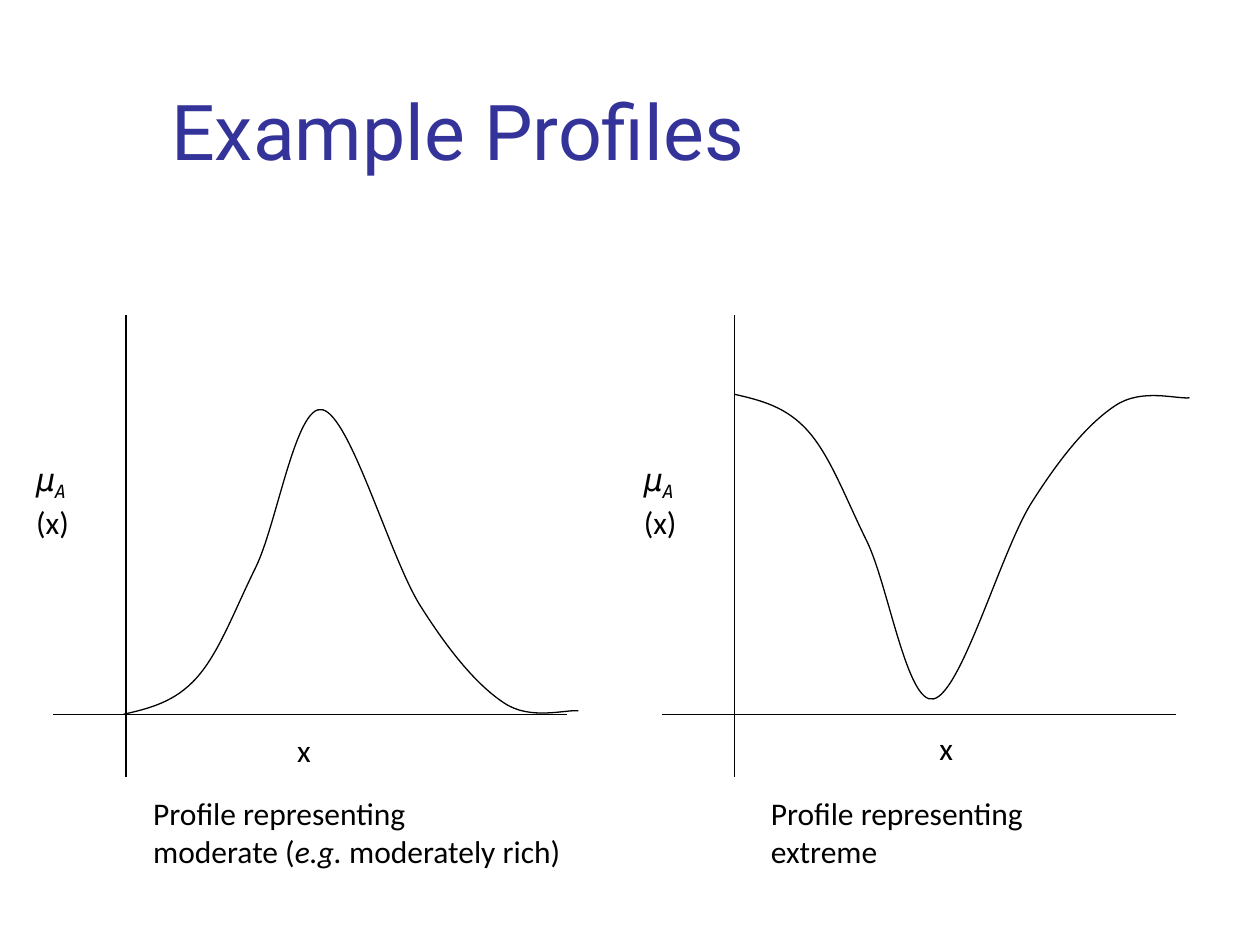
from lxml import etree
from pptx import Presentation
from pptx.dml.color import RGBColor
from pptx.enum.shapes import MSO_CONNECTOR
from pptx.enum.text import MSO_ANCHOR
from pptx.oxml.ns import qn
from pptx.util import Cm, Pt

COLORS = {"title": "333399", "ink": "000000"}
BODY_FONT, SYMBOL_FONT, TITLE_FONT = "Calibri", "DejaVu Sans Mono", "Roboto"
LINE_WIDTH = Pt(0.75)

TITLE = [[("Example Profiles", {"size": 44, "font": TITLE_FONT, "color": "title"})]]
MEMBERSHIP = [[
    ("μ", {"font": SYMBOL_FONT, "italic": True}),
    ("A ", {"font": SYMBOL_FONT, "italic": True, "baseline": -25000}),
    ("(x)", {}),
]]
VARIABLE = [[("x", {})]]

BELL = [
    (2.49, 14.4),
    (3.02, 14.28), (3.53, 14.15), (3.96, 13.67),
    (4.42, 13.16), (4.72, 12.32), (5.16, 11.43),
    (5.59, 10.54), (5.97, 8.13), (6.5, 8.26),
    (7.06, 8.38), (7.85, 11.2), (8.46, 12.19),
    (9.07, 13.16), (9.63, 13.82), (10.16, 14.17),
    (10.69, 14.53), (11.4, 14.3), (11.66, 14.33),
]
VALLEY = [(x + 12.32, 22.35 - y) for x, y in BELL]

PROFILES = [
    {
        "axis_x": 2.54, "curve": BELL,
        "membership": (0.48, 9.14), "variable": (5.74, 14.61), "caption_at": (2.84, 15.88),
        "caption": [
            [("Profile representing", {})],
            [("moderate (", {}), ("e.g.", {"italic": True}), (" moderately rich)", {})],
        ],
    },
    {
        "axis_x": 14.81, "curve": VALLEY,
        "membership": (12.73, 9.14), "variable": (18.69, 14.58), "caption_at": (15.29, 15.88),
        "caption": [[("Profile representing", {})], [("extreme", {})]],
    },
]
AXIS_TOP, AXIS_BOTTOM, BASELINE = 6.35, 15.67, 14.4
AXIS_LEFT, AXIS_RIGHT = -1.47, 8.89


def add_text(slide, position, size, paragraphs, wrap=False):
    box = slide.shapes.add_textbox(*map(Cm, position + size))
    frame = box.text_frame
    frame.word_wrap = wrap
    frame.text = "\n".join("".join(text for text, _ in runs) for runs in paragraphs)
    for paragraph, runs in zip(frame.paragraphs, paragraphs):
        paragraph.text = ""
        for text, style in runs:
            run = paragraph.add_run()
            run.text = text
            font = run.font
            font.size = Pt(style.get("size", 18))
            font.name = style.get("font", BODY_FONT)
            font.italic = style.get("italic", False)
            font.color.rgb = RGBColor.from_string(COLORS[style.get("color", "ink")])
            if "baseline" in style:
                run._r.get_or_add_rPr().set("baseline", str(style["baseline"]))
    return frame


def style_line(shape):
    shape.line.color.rgb = RGBColor.from_string(COLORS["ink"])
    shape.line.width = LINE_WIDTH


def add_axis(slide, start, end):
    axis = slide.shapes.add_connector(MSO_CONNECTOR.STRAIGHT, *map(Cm, start + end))
    style_line(axis)
    etree.SubElement(axis._element.spPr, qn("a:effectLst"))


def add_curve(slide, points):
    points = [(Cm(x), Cm(y)) for x, y in points]
    builder = slide.shapes.build_freeform(*points[0])
    builder.add_line_segments(points[1:], close=False)
    curve = builder.convert_to_shape()
    curve.fill.background()
    curve.shadow.inherit = False
    style_line(curve)
    segments = list(curve._element.iter(qn("a:lnTo")))
    for index in range(0, len(segments), 3):
        bezier = etree.Element(qn("a:cubicBezTo"))
        segments[index].addprevious(bezier)
        for segment in segments[index:index + 3]:
            bezier.append(segment[0])
            segment.getparent().remove(segment)


def add_profile(slide, profile):
    x = profile["axis_x"]
    add_axis(slide, (x, AXIS_TOP), (x, AXIS_BOTTOM))
    add_axis(slide, (x + AXIS_LEFT, BASELINE), (x + AXIS_RIGHT, BASELINE))
    add_curve(slide, profile["curve"])
    label = add_text(slide, profile["membership"], (1.83, 1.12), MEMBERSHIP, wrap=True)
    label.margin_right = Cm(0.5)
    add_text(slide, profile["variable"], (0.79, 1.02), VARIABLE)
    add_text(slide, profile["caption_at"], (8.76, 1.78), profile["caption"])


def main():
    presentation = Presentation()
    presentation.slide_width, presentation.slide_height = Cm(25.4), Cm(19.05)
    slide = presentation.slides.add_slide(presentation.slide_layouts[6])
    title = add_text(slide, (3.2, 0.58), (21.64, 4.06), TITLE, wrap=True)
    title.vertical_anchor = MSO_ANCHOR.MIDDLE
    for profile in PROFILES:
        add_profile(slide, profile)
    presentation.save("out.pptx")


if __name__ == "__main__":
    main()
